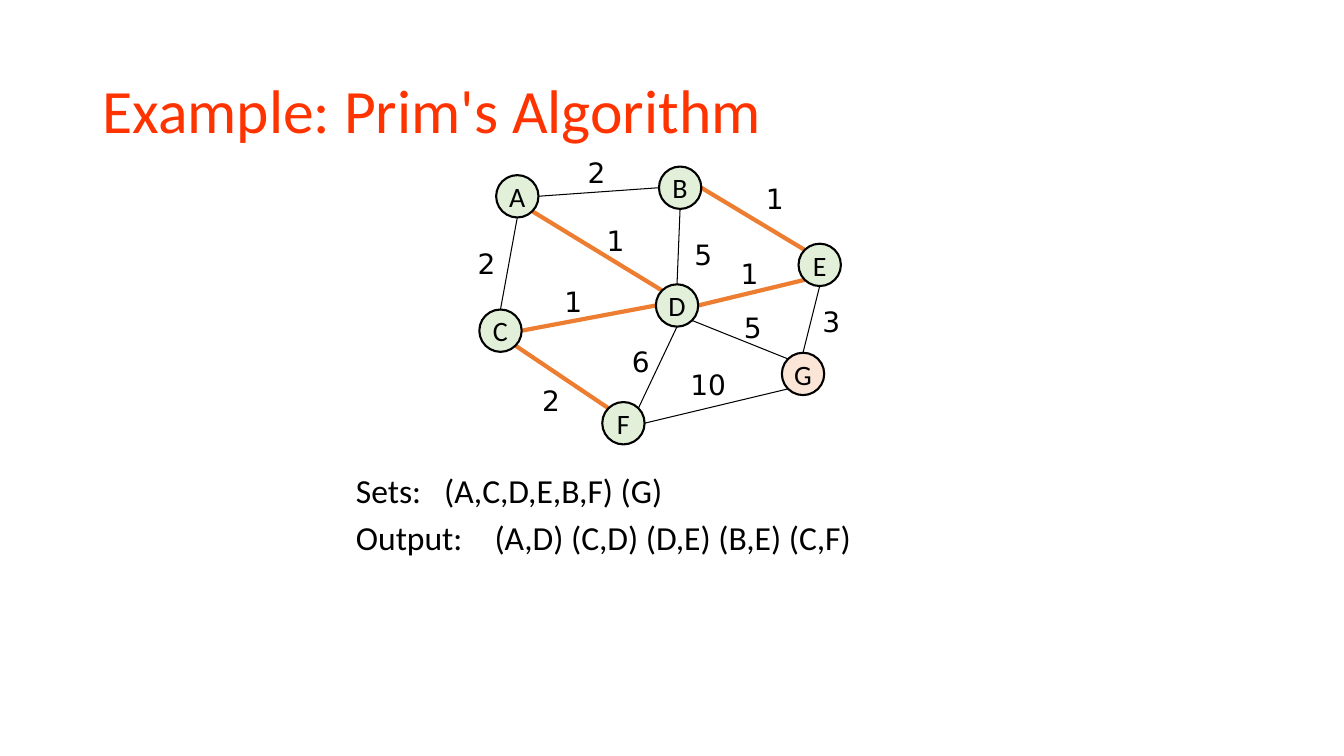
from dataclasses import dataclass
from math import cos, radians, sin

from lxml.etree import SubElement
from pptx import Presentation
from pptx.dml.color import RGBColor
from pptx.enum.shapes import MSO_CONNECTOR as CONN, MSO_SHAPE as SHAPE
from pptx.enum.text import MSO_ANCHOR as ANCHOR, MSO_AUTO_SIZE as AUTO, PP_ALIGN as ALIGN
from pptx.oxml.ns import qn
from pptx.util import Pt

BLACK = RGBColor(0x00, 0x00, 0x00)
RED = RGBColor(0xFF, 0x33, 0x00)
ORANGE = RGBColor(0xED, 0x7D, 0x31)
GREEN = RGBColor(0xE2, 0xF0, 0xD9)
PEACH = RGBColor(0xFB, 0xE5, 0xD6)
RADIUS = 15.12

# Points on a node's rim, as clockwise angles from the right
RIM = {"r": 0, "br": 45, "b": 90, "bl": 135, "l": 180, "tl": 225, "t": 270, "tr": 315}


@dataclass(frozen=True)
class Node:
    name: str
    x: float
    y: float
    fill: RGBColor = GREEN

    def rim(self, side: str) -> tuple[Pt, Pt]:
        a = radians(RIM[side])
        return Pt(self.x + RADIUS * cos(a)), Pt(self.y + RADIUS * sin(a))


@dataclass(frozen=True)
class Edge:
    start: str
    start_side: str
    end: str
    end_side: str
    weight: str
    label_x: float
    label_y: float
    chosen: bool = False


NODES = [
    Node("A", 369.5, 140.2),
    Node("B", 485.8, 134.1),
    Node("C", 357.5, 236.2),
    Node("D", 483.6, 218.2),
    Node("F", 445.3, 302.3),
    Node("E", 585.5, 189.2),
    Node("G", 573.6, 267.1, PEACH),
]

EDGES = [
    Edge("A", "b", "C", "t", "2", 334.1, 172.8),
    Edge("B", "l", "A", "r", "2", 412.6, 107.3),
    Edge("D", "t", "B", "b", "5", 488.9, 166.3),
    Edge("A", "br", "D", "tl", "1", 426.2, 156.2, True),
    Edge("C", "r", "D", "l", "1", 396, 199.4, True),
    Edge("D", "r", "E", "bl", "1", 522, 180, True),
    Edge("E", "tl", "B", "r", "1", 540, 126, True),
    Edge("C", "br", "F", "tl", "2", 380.2, 270.7, True),
    Edge("D", "b", "F", "tr", "6", 444.2, 242.6),
    Edge("D", "br", "G", "tl", "5", 524.2, 218.2),
    Edge("G", "t", "E", "b", "3", 580.3, 213.8),
    Edge("F", "r", "G", "bl", "10", 486, 259.2),
]

RESULTS = ["Sets: \t(A,C,D,E,B,F) (G)", "Output:\t(A,D) (C,D) (D,E) (B,E) (C,F)"]


def add_run(p, text: str, size: float, font: str = "Calibri", color: RGBColor = BLACK) -> None:
    r = p.add_run()
    r.text = text
    r.font.size, r.font.name, r.font.color.rgb = Pt(size), font, color


def place(sp, left: float, top: float, width: float, height: float) -> None:
    sp.left, sp.top, sp.width, sp.height = Pt(left), Pt(top), Pt(width), Pt(height)


def draw_edge(s, edge: Edge, nodes: dict[str, Node]) -> None:
    start = nodes[edge.start].rim(edge.start_side)
    end = nodes[edge.end].rim(edge.end_side)
    line = s.shapes.add_connector(CONN.STRAIGHT, *start, *end)
    line.line.color.rgb = ORANGE if edge.chosen else BLACK
    line.line.width = Pt(3 if edge.chosen else 0.75)
    SubElement(line._element.spPr, qn("a:effectLst"))

    width = 27.4 if len(edge.weight) == 1 else 40.3
    sp = s.shapes.add_textbox(Pt(edge.label_x), Pt(edge.label_y), Pt(width), Pt(31.7))
    tf = sp.text_frame
    tf.word_wrap, tf.auto_size = False, AUTO.SHAPE_TO_FIT_TEXT
    add_run(tf.paragraphs[0], edge.weight, 20, "DejaVu Sans")


def draw_node(s, node: Node) -> None:
    sp = s.shapes.add_shape(SHAPE.OVAL, Pt(node.x - RADIUS), Pt(node.y - RADIUS),
                            Pt(2 * RADIUS), Pt(2 * RADIUS))
    sp.shadow.inherit = False
    sp.fill.solid()
    sp.fill.fore_color.rgb = node.fill
    sp.line.color.rgb, sp.line.width = BLACK, Pt(1.5)
    tf = sp.text_frame
    tf.word_wrap, tf.vertical_anchor = False, ANCHOR.MIDDLE
    p = tf.paragraphs[0]
    p.alignment = ALIGN.CENTER
    add_run(p, node.name, 20)


def add_result(p, text: str) -> None:
    p.space_before = Pt(4.8)
    pPr = p._p.get_or_add_pPr()
    pPr.set("marL", str(Pt(27)))
    pPr.set("indent", str(Pt(-27)))
    SubElement(pPr, qn("a:buNone"))
    tabs = SubElement(pPr, qn("a:tabLst"))
    SubElement(tabs, qn("a:tab"), pos=str(Pt(103.7)), algn="l")
    add_run(p, text, 24)


def main() -> None:
    prs = Presentation()
    prs.slide_width, prs.slide_height = Pt(960), Pt(540)
    s = prs.slides.add_slide(prs.slide_layouts[1])

    # Title
    title = s.shapes.title
    place(title, 66, 28.8, 828, 104.4)
    tf = title.text_frame
    tf.vertical_anchor, tf.auto_size = ANCHOR.MIDDLE, AUTO.NONE
    p = tf.paragraphs[0]
    p.alignment, p.line_spacing = ALIGN.LEFT, 0.9
    add_run(p, "Example: Prim's Algorithm", 44, color=RED)

    # Graph: edges with weights, then nodes on top
    nodes = {node.name: node for node in NODES}
    for edge in EDGES:
        draw_edge(s, edge, nodes)
    for node in NODES:
        draw_node(s, node)

    # Sets and output
    body = s.placeholders[1]
    place(body, 247, 331.9, 558, 71.3)
    tf = body.text_frame
    tf.word_wrap, tf.auto_size = True, AUTO.SHAPE_TO_FIT_TEXT
    for i, text in enumerate(RESULTS):
        add_result(tf.add_paragraph() if i else tf.paragraphs[0], text)

    prs.save("out.pptx")


if __name__ == "__main__":
    main()
